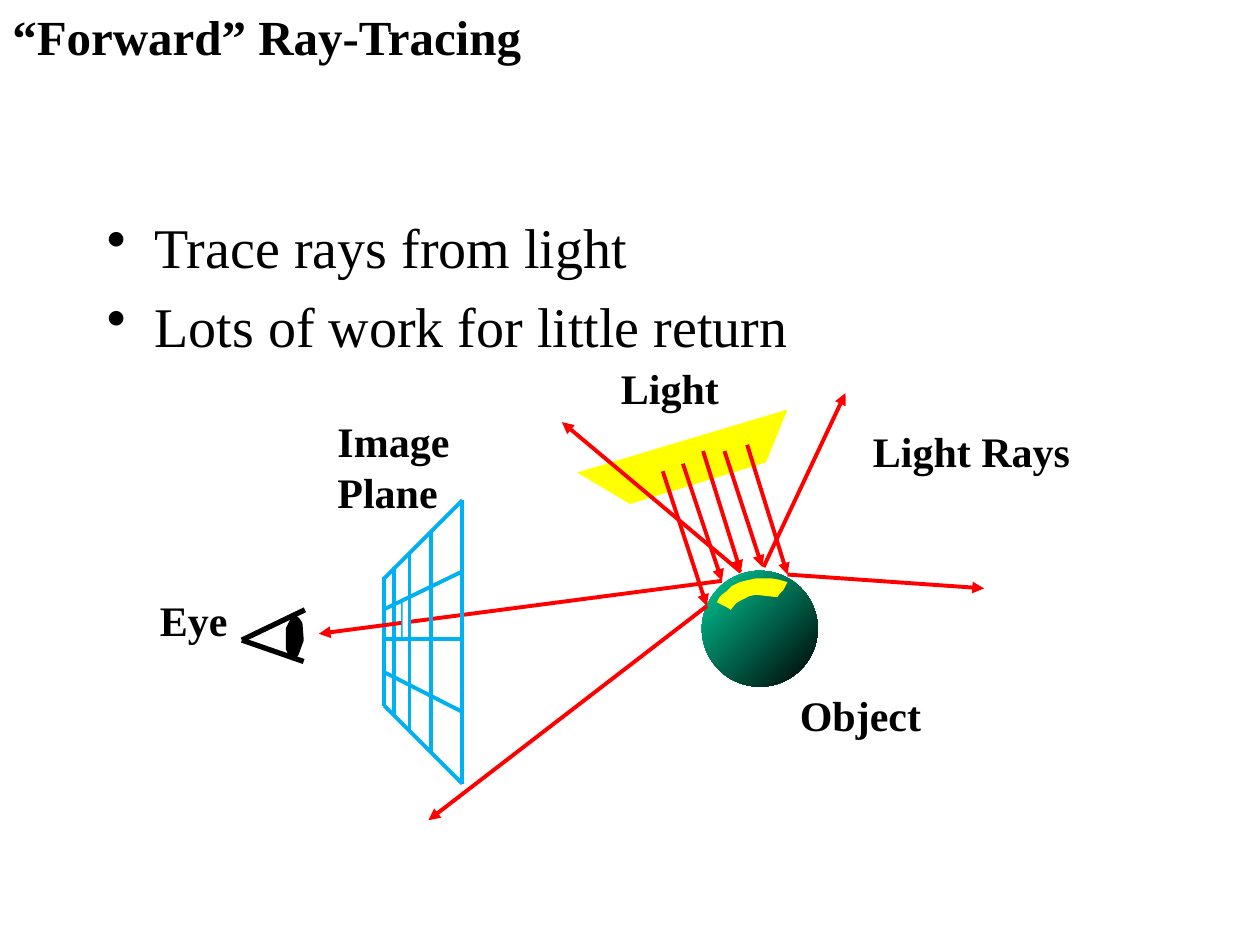
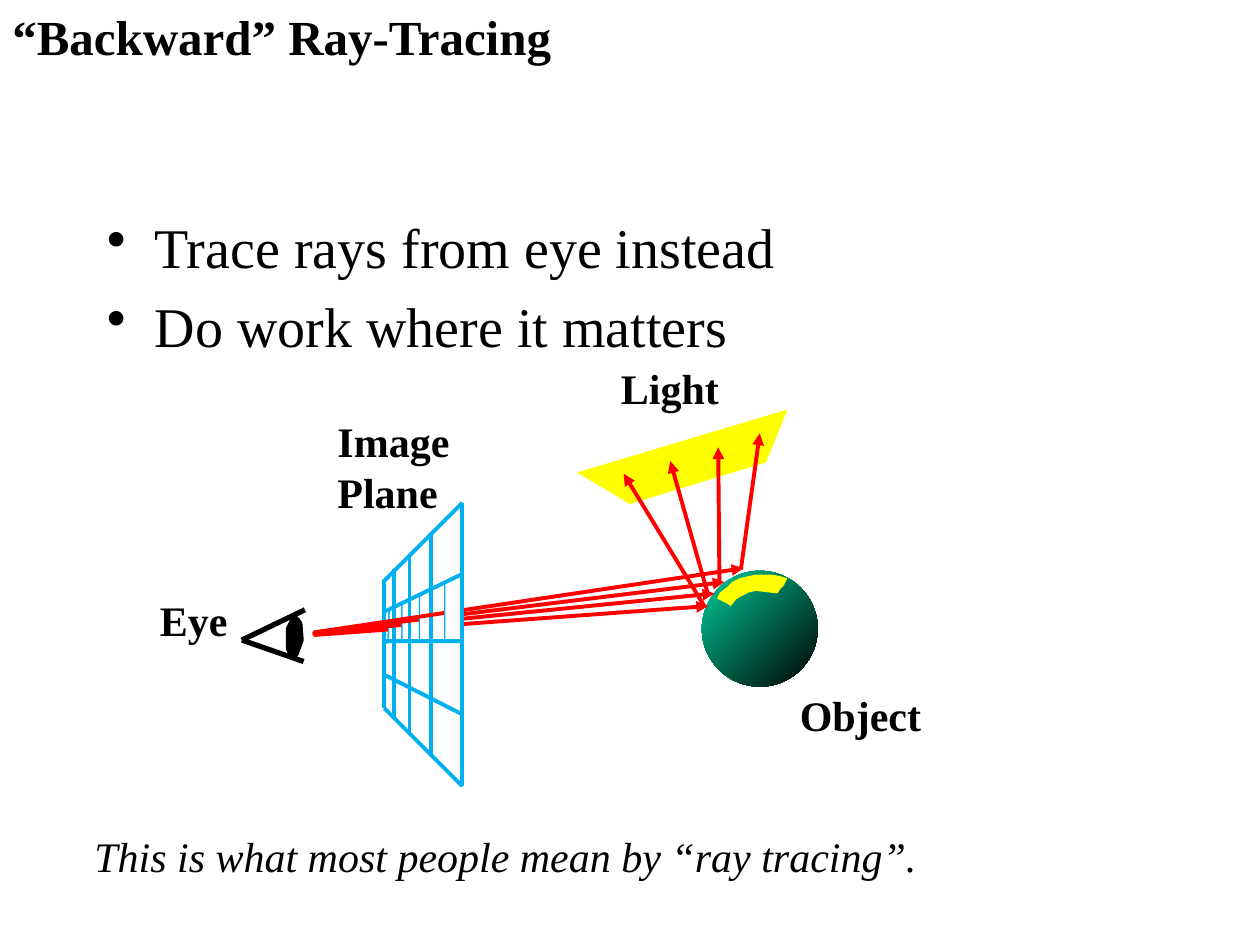
from pptx import Presentation
from pptx.dml.color import RGBColor
from pptx.enum.shapes import MSO_CONNECTOR, MSO_SHAPE
from pptx.enum.text import MSO_ANCHOR, MSO_AUTO_SIZE
from pptx.oxml.ns import qn
from pptx.util import Emu, Pt
from lxml import etree

STRAIGHT = MSO_CONNECTOR.STRAIGHT
OVAL = MSO_SHAPE.OVAL
TOP = MSO_ANCHOR.TOP
FIT_SHAPE = MSO_AUTO_SIZE.SHAPE_TO_FIT_TEXT
FIXED = MSO_AUTO_SIZE.NONE

SCALE = 9144
FONT = "Times New Roman"
BLACK, WHITE, RED = "000000", "FFFFFF", "FF0000"
YELLOW, CYAN, GREEN = "FFFF00", "00B0F0", "00CC99"

GRID_SHIFT = 2
LEFT_VERTICALS = [(305, 458, 305, 560), (313, 450, 313, 567)]
RIGHT_VERTICALS = [(325, 438, 325, 580), (342, 422, 342, 597)]
OUTER_BARS = [(367, 397, 304, 460), (367, 622, 305, 560), (304, 533, 367, 565)]
INNER_BARS = [(367, 397, 367, 622), (304, 484, 366, 454), (304, 507, 367, 507)]

LIGHT = [(625, 325), (608, 367), (500, 400), (458, 375)]
PUPIL = [(232, 489), (236, 492), (238, 495), (239, 508), (235, 519), (232, 522),
         (230, 517), (229, 515), (229, 499), (232, 493)]
HIGHLIGHT = [(618, 460), (612, 459), (600, 459), (591, 461), (587, 462), (581, 465),
             (577, 469), (573, 472), (571, 474), (569, 478), (577, 482), (580, 484),
             (584, 479), (587, 477), (595, 473), (600, 472), (617, 474), (619, 471),
             (622, 468), (625, 462)]
LABELS = [("Eye", 117, 467, 74, 50), ("Light", 483, 283, 98, 50),
          ("Image\nPlane", 258, 325, 110, 91), ("Object", 625, 542, 116, 50)]

FORWARD_RAYS = [(575, 358, 605, 450), (606, 450, 671, 312),
                (558, 358, 588, 454), (588, 454, 446, 335),
                (542, 368, 573, 461), (573, 461, 253, 503),
                (526, 374, 561, 481), (561, 481, 340, 651),
                (593, 353, 625, 456), (625, 456, 781, 467)]
FORWARD_PIXELS = [[(319, 476), (319, 508), (313, 508), (313, 479)],
                  [(325, 473), (325, 508), (319, 508), (319, 476)]]

EYE_RAYS = [(249, 504, 562, 481), (248, 503, 567, 471),
            (249, 502, 575, 462), (249, 502, 590, 451)]
SHADOW_RAYS = [(559, 481, 495, 376), (562, 472, 532, 366),
               (588, 452, 603, 344), (571, 462, 570, 355)]
BACKWARD_PIXELS = [[(309, 484), (308, 510), (305, 511), (305, 486)],
                   [(319, 479), (319, 510), (308, 510), (309, 483)],
                   [(333, 510), (319, 510), (319, 478), (333, 472)],
                   [(353, 463), (353, 510), (333, 510), (333, 473)],
                   [(367, 457), (367, 510), (353, 510), (353, 462)]]


def px(length):
    return Emu(length * SCALE)


def color(value):
    return RGBColor.from_string(value)


def add_text(slide, text, left, top, width, height, size, bold=False, italic=False,
             wrap=False, bullets=False):
    box = slide.shapes.add_textbox(px(left), px(top), px(width), px(height))
    frame = box.text_frame
    frame.text = text
    frame.word_wrap = wrap
    frame.vertical_anchor = TOP
    frame.auto_size = FIXED if wrap else FIT_SHAPE
    for index, paragraph in enumerate(frame.paragraphs):
        if bullets:
            properties = paragraph._p.get_or_add_pPr()
            properties.set("marL", str(px(38)))
            properties.set("indent", str(px(-38)))
            etree.SubElement(properties, qn("a:buChar")).set("char", "•")
            if index:
                paragraph.space_before = Pt(size * 0.2)
        for run in paragraph.runs:
            run.font.name = FONT
            run.font.size = Pt(size)
            run.font.bold = bold
            run.font.italic = italic
            run.font.color.rgb = color(BLACK)


def add_lines(slide, segments, stroke, width=2.25, arrow=False, shift=0):
    for x1, y1, x2, y2 in segments:
        line = slide.shapes.add_connector(
            STRAIGHT, px(x1), px(y1 + shift), px(x2), px(y2 + shift))
        line.line.color.rgb = color(stroke)
        line.line.width = Pt(width)
        if arrow:
            outline = line.line._get_or_add_ln()
            etree.SubElement(outline, qn("a:tailEnd")).set("type", "triangle")
        etree.SubElement(line._element.spPr, qn("a:effectLst"))


def add_polygon(slide, points, fill, stroke=None, width=0.75, shift=0):
    moved = [(x, y + shift) for x, y in points]
    builder = slide.shapes.build_freeform(*moved[0], scale=SCALE)
    builder.add_line_segments(moved[1:], close=True)
    shape = builder.convert_to_shape()
    shape.shadow.inherit = False
    shape.fill.solid()
    shape.fill.fore_color.rgb = color(fill)
    if stroke:
        shape.line.color.rgb = color(stroke)
        shape.line.width = Pt(width)
    else:
        shape.line.fill.background()


def add_pixel(slide, points):
    add_polygon(slide, points, WHITE, CYAN)


def add_sphere(slide):
    sphere = slide.shapes.add_shape(OVAL, px(557), px(453), px(92), px(92))
    sphere.shadow.inherit = False
    sphere.line.fill.background()
    sphere.fill.gradient()
    sphere.fill.gradient_angle = 315
    for stop, value in zip(sphere.fill.gradient_stops, (GREEN, BLACK)):
        stop.color.rgb = color(value)


def add_eye(slide):
    add_lines(slide, [(192, 508, 242, 484), (192, 508, 241, 525)], BLACK, 3)
    add_polygon(slide, PUPIL, BLACK, BLACK, 3)


def add_scene(slide, title, bullets):
    add_text(slide, title, 0, 0, 967, 69, 28, bold=True, wrap=True)
    add_text(slide, bullets, 75, 164, 850, 503, 32, wrap=True, bullets=True)
    add_eye(slide)
    add_polygon(slide, LIGHT, YELLOW)
    for label in LABELS:
        add_text(slide, *label, 24, bold=True)


def add_forward_slide(presentation):
    slide = presentation.slides.add_slide(presentation.slide_layouts[6])
    add_sphere(slide)
    add_pixel(slide, FORWARD_PIXELS[0])
    add_scene(slide, "“Forward” Ray-Tracing",
              "Trace rays from light\nLots of work for little return")
    add_lines(slide, OUTER_BARS + LEFT_VERTICALS, CYAN)
    add_lines(slide, FORWARD_RAYS, RED, arrow=True)
    add_pixel(slide, FORWARD_PIXELS[1])
    add_lines(slide, RIGHT_VERTICALS + INNER_BARS, CYAN)
    add_polygon(slide, HIGHLIGHT, YELLOW)
    add_text(slide, "Light Rays", 683, 333, 177, 50, 24, bold=True)


def add_backward_slide(presentation):
    slide = presentation.slides.add_slide(presentation.slide_layouts[6])
    add_sphere(slide)
    verticals = LEFT_VERTICALS + RIGHT_VERTICALS
    for pixel, vertical, ray in zip(BACKWARD_PIXELS, verticals, EYE_RAYS):
        add_pixel(slide, pixel)
        add_lines(slide, [vertical], CYAN, shift=GRID_SHIFT)
        add_lines(slide, [ray], RED, arrow=True)
    add_pixel(slide, BACKWARD_PIXELS[-1])
    add_scene(slide, "“Backward” Ray-Tracing",
              "Trace rays from eye instead\nDo work where it matters")
    add_lines(slide, OUTER_BARS + INNER_BARS, CYAN, shift=GRID_SHIFT)
    add_lines(slide, SHADOW_RAYS, RED, arrow=True)
    add_polygon(slide, HIGHLIGHT, YELLOW, shift=-3)
    add_text(slide, "This is what most people mean by “ray tracing”.",
             65, 654, 679, 50, 24, italic=True)


def main():
    presentation = Presentation()
    presentation.slide_width = px(1000)
    presentation.slide_height = px(750)
    add_forward_slide(presentation)
    add_backward_slide(presentation)
    presentation.save("out.pptx")


if __name__ == "__main__":
    main()
